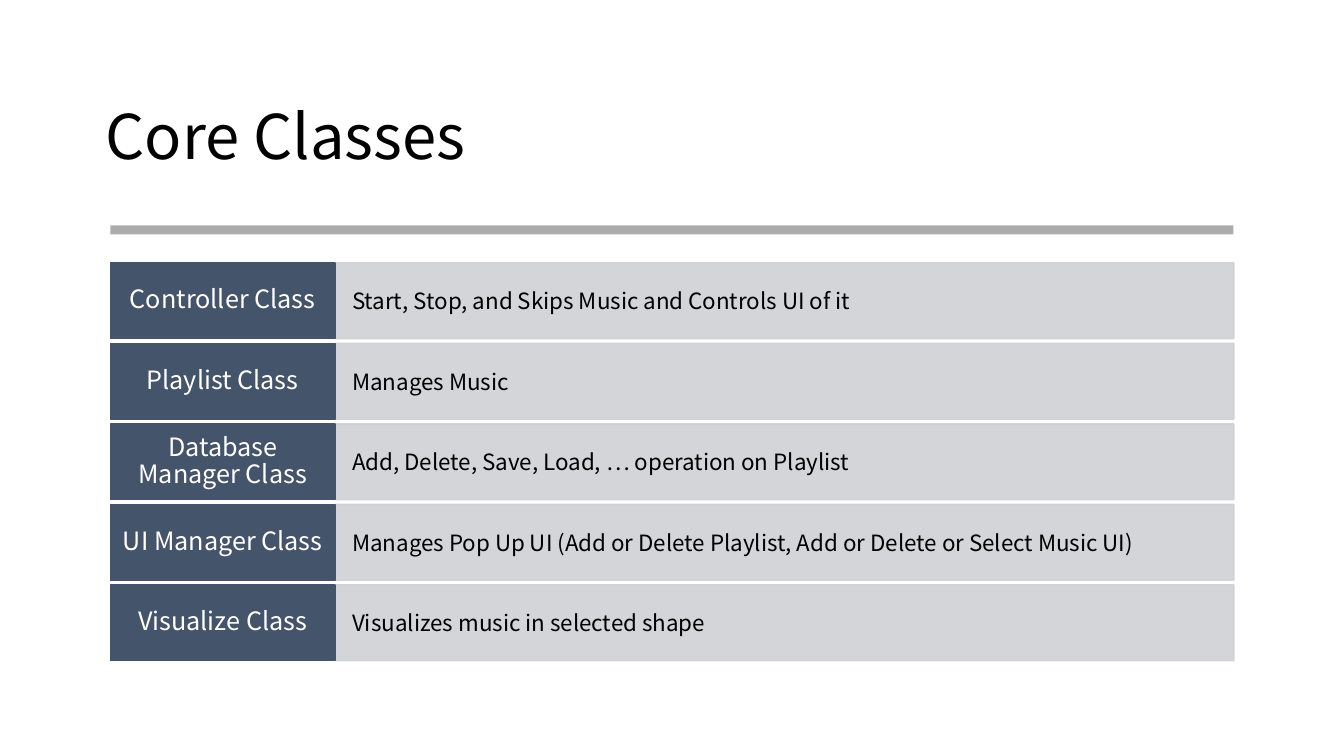
from pptx import Presentation
from pptx.dml.color import RGBColor
from pptx.enum.shapes import MSO_SHAPE
from pptx.enum.text import MSO_ANCHOR, PP_ALIGN
from pptx.oxml.ns import qn
from pptx.util import Pt
from lxml import etree

RECT = MSO_SHAPE.RECTANGLE
MIDDLE = MSO_ANCHOR.MIDDLE
LEFT, CENTER = PP_ALIGN.LEFT, PP_ALIGN.CENTER

FONT = "Noto Sans CJK KR"
COLORS = {"black": "000000", "white": "FFFFFF", "rule": "808080",
          "label": "44546A", "detail": "CFD1D4"}

CLASSES = [
    ("Controller Class", "Start, Stop, and Skips Music and Controls UI of it"),
    ("Playlist Class", "Manages Music"),
    ("Database Manager Class", "Add, Delete, Save, Load, … operation on Playlist"),
    ("UI Manager Class",
     "Manages Pop Up UI (Add or Delete Playlist, Add or Delete or Select Music UI)"),
    ("Visualize Class", "Visualizes music in selected shape"),
]

prs = Presentation()
prs.slide_width, prs.slide_height = Pt(960), Pt(540)
s = prs.slides.add_slide(prs.slide_layouts[6])


def add_rect(left, top, width, height, color, opacity=100, outlined=True):
    sp = s.shapes.add_shape(RECT, Pt(left), Pt(top), Pt(width), Pt(height))
    sp.shadow.inherit = False
    sp.fill.solid()
    sp.fill.fore_color.rgb = RGBColor.from_string(COLORS[color])
    if outlined:
        sp.line.color.rgb = RGBColor.from_string(COLORS[color])
        sp.line.width = Pt(1)
    else:
        sp.line.fill.background()
    if opacity < 100:
        for clr in sp._element.spPr.iter(qn("a:srgbClr")):
            etree.SubElement(clr, qn("a:alpha")).set("val", str(opacity * 1000))
    return sp


def set_text(sp, text, size, color, align, spacing, inset_x, inset_y):
    tf = sp.text_frame
    tf.word_wrap = True
    tf.vertical_anchor = MIDDLE
    tf.margin_left = tf.margin_right = Pt(inset_x)
    tf.margin_top = tf.margin_bottom = Pt(inset_y)
    tf.text = text
    p = tf.paragraphs[0]
    p.alignment = align
    p.line_spacing = spacing
    r = p.runs[0]
    r.font.name = FONT
    r.font.size = Pt(size)
    r.font.color.rgb = RGBColor.from_string(COLORS[color])
    ea = etree.SubElement(r.font._element, qn("a:ea"))
    ea.set("typeface", FONT)


title = s.shapes.add_textbox(Pt(68.4), Pt(47.5), Pt(823), Pt(104.4))
set_text(title, "Core Classes", 44, "black", LEFT, 0.9, 7.2, 3.6)

add_rect(78.8, 161, 802.2, 6.5, "rule", 65, outlined=False)

TOP, PITCH, ROW_H = 187.8, 57.5, 54.2
LABEL_X, LABEL_W, DETAIL_W = 78.8, 160.6, 642

for i, (name, role) in enumerate(CLASSES):
    top = TOP + i * PITCH
    detail = add_rect(LABEL_X + LABEL_W, top, DETAIL_W, ROW_H, "detail", 90)
    set_text(detail, role, 16, "black", LEFT, 1.0, 12.2, 13.7)
    label = add_rect(LABEL_X, top, LABEL_W, ROW_H, "label")
    set_text(label, name, 18, "white", CENTER, 0.9, 8.5, 5)

prs.save("out.pptx")
